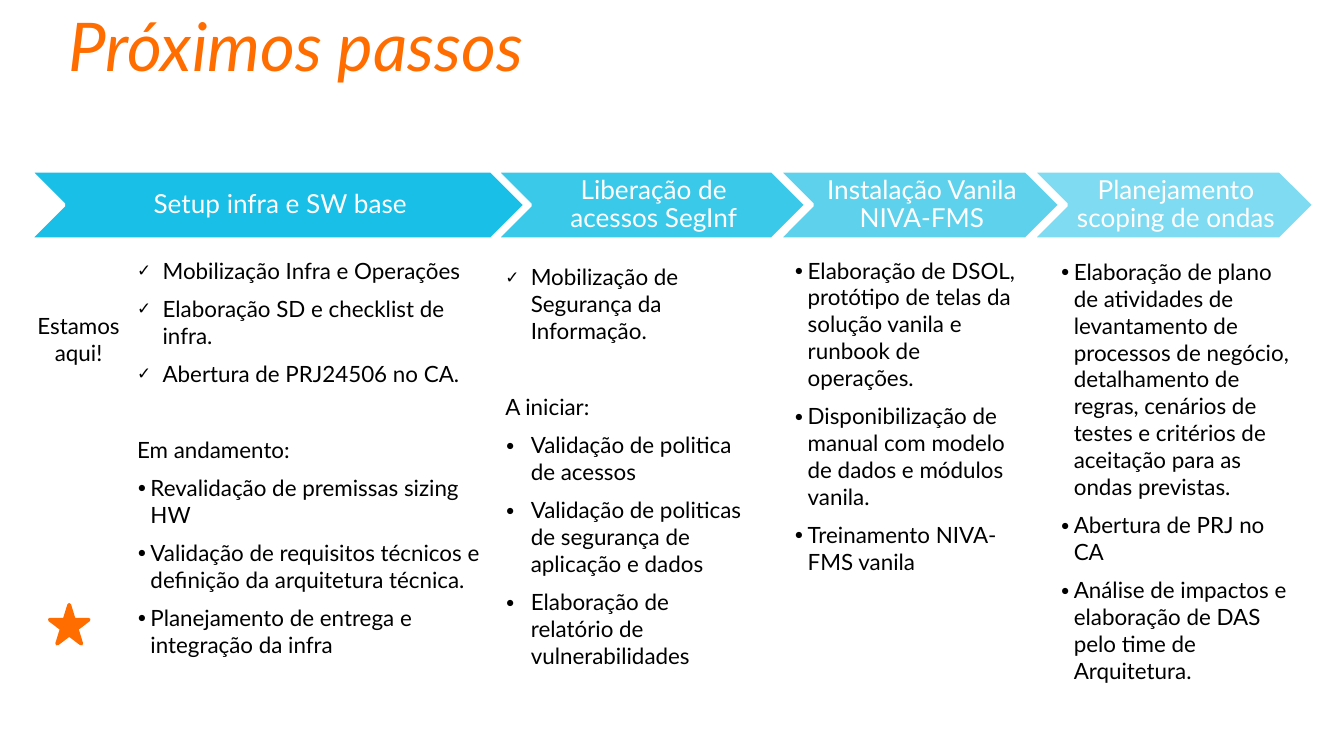
from dataclasses import dataclass

from lxml.etree import SubElement
from pptx import Presentation
from pptx.dml.color import RGBColor
from pptx.enum.shapes import MSO_SHAPE as Kind
from pptx.enum.text import MSO_ANCHOR as Anchor, PP_ALIGN as Align
from pptx.oxml.ns import qn
from pptx.util import Inches, Pt

ORANGE, CYAN, BLACK, WHITE = "FF6D00", "00B9E4", "000000", "FFFFFF"
TICK, DOT = "✓", "•"
FACE = "Lato"


@dataclass
class Item:
    text: str
    mark: str = ""
    dent: float = 0
    gap: float = 0


@dataclass
class Column:
    left: float
    top: float
    width: float
    height: float
    items: list[Item]


@dataclass
class Step:
    left: float
    width: float
    alpha: int
    label: str


def color(code: str) -> RGBColor:
    return RGBColor.from_string(code)


def add_text(slide, left: float, top: float, width: float, height: float, inset=(0, 0, 0, 0)):
    box = slide.shapes.add_textbox(Inches(left), Inches(top), Inches(width), Inches(height))
    frame = box.text_frame
    frame.word_wrap = True
    sides = [Inches(side) for side in inset]
    frame.margin_left, frame.margin_top, frame.margin_right, frame.margin_bottom = sides
    return frame


def style(para, text: str, size: float, code: str, align=Align.LEFT) -> None:
    para.add_run().text = text
    para.alignment = align
    font = para.font
    font.name, font.size, font.color.rgb = FACE, Pt(size), color(code)


def add_shape(slide, kind, left: float, top: float, width: float, height: float,
              fill: str, line: str):
    shape = slide.shapes.add_shape(kind, Inches(left), Inches(top), Inches(width), Inches(height))
    shape.shadow.inherit = False
    shape.fill.solid()
    shape.fill.fore_color.rgb = color(fill)
    shape.line.color.rgb = color(line)
    shape.line.width = Pt(2)
    return shape


def add_mark(para, mark: str, dent: float) -> None:
    props = para._p.get_or_add_pPr()
    props.set("marL", str(Inches(dent)))
    props.set("indent", str(-Inches(dent)))
    tint = SubElement(props, qn("a:buClr"))
    SubElement(tint, qn("a:srgbClr"), val=BLACK)
    SubElement(props, qn("a:buSzPct"), val="75000")
    SubElement(props, qn("a:buFont"), typeface=FACE)
    SubElement(props, qn("a:buChar"), char=mark)


def add_column(slide, col: Column) -> None:
    frame = add_text(slide, col.left, col.top, col.width, col.height)
    for i, item in enumerate(col.items):
        para = frame.add_paragraph() if i else frame.paragraphs[0]
        if item.mark:
            add_mark(para, item.mark, item.dent)
        para.space_after = Pt(6)
        if item.gap:
            para.space_before = Pt(item.gap)
        style(para, item.text, 12, BLACK)


def add_step(slide, step: Step) -> None:
    top, height = 1.27, 0.51
    shape = add_shape(slide, Kind.CHEVRON, step.left, top, step.width, height, CYAN, WHITE)
    tint = shape.fill._xPr.find(qn("a:solidFill"))[0]
    SubElement(tint, qn("a:alpha"), val=str(step.alpha * 1000))
    frame = add_text(slide, step.left + height / 2, top, step.width - height, height,
                     (0.06, 0.02, 0.02, 0.02))
    frame.vertical_anchor = Anchor.MIDDLE
    para = frame.paragraphs[0]
    para.line_spacing = 0.9
    style(para, step.label, 14, WHITE, Align.CENTER)


def ticks(*texts: str) -> list[Item]:
    return [Item(text, TICK, 0.19) for text in texts]


def dots(dent: float, *texts: str) -> list[Item]:
    return [Item(text, DOT, dent) for text in texts]


STEPS = [
    Step(0.22, 3.69, 90, "Setup infra e SW base"),
    Step(3.69, 2.31, 77, "Liberação de acessos SegInf"),
    Step(5.79, 2.1, 63, "Instalação Vanila NIVA-FMS"),
    Step(7.68, 2.1, 50, "Planejamento scoping de ondas"),
]

SETUP = Column(1.02, 1.91, 2.63, 3.71, [
    *ticks("Mobilização Infra e Operações",
           "Elaboração SD e checklist de infra.",
           "Abertura de PRJ24506 no CA."),
    Item("Em andamento:", gap=20.4),
    *dots(0.1, "Revalidação de premissas sizing HW",
          "Validação de requisitos técnicos e definição da arquitetura técnica.",
          "Planejamento de entrega e integração da infra"),
])
ACCESS = Column(3.76, 1.96, 1.87, 2.89, [
    *ticks("Mobilização de Segurança da Informação."),
    Item("A iniciar:", gap=20.4),
    *dots(0.19, "Validação de politica de acessos",
          "Validação de politicas de segurança de aplicação e dados",
          "Elaboração de relatório de vulnerabilidades"),
])
INSTALL = Column(5.91, 1.91, 1.74, 2.89, dots(
    0.1,
    "Elaboração de DSOL, protótipo de telas da solução vanila e runbook de operações.",
    "Disponibilização de manual com modelo de dados e módulos vanila.",
    "Treinamento NIVA-FMS vanila",
))
PLAN = Column(7.89, 1.92, 1.74, 2.89, dots(
    0.1,
    "Elaboração de plano de atividades de levantamento de processos de negócio, "
    "detalhamento de regras, cenários de testes e critérios de aceitação para as "
    "ondas previstas.",
    "Abertura de PRJ no CA",
    "Análise de impactos e elaboração de DAS pelo time de Arquitetura.",
))


def main() -> None:
    deck = Presentation()
    deck.slide_width, deck.slide_height = Inches(10), Inches(10 * 9 / 16)
    slide = deck.slides.add_slide(deck.slide_layouts[6])

    title = add_text(slide, 0.51, 0.3, 8.98, 0.78).paragraphs[0]
    title.line_spacing = Pt(24)
    style(title, "Próximos passos", 36, ORANGE)
    title.font.italic = True

    for col in (SETUP, ACCESS, INSTALL):
        add_column(slide, col)
    add_shape(slide, Kind.STAR_5_POINT, 0.37, 4.5, 0.29, 0.29, ORANGE, ORANGE)
    here = add_text(slide, 0.15, 2.28, 0.87, 0.48, (0.04,) * 4)
    style(here.paragraphs[0], "Estamos aqui!", 12, BLACK, Align.CENTER)
    for step in STEPS:
        add_step(slide, step)
    add_column(slide, PLAN)

    deck.save("out.pptx")


if __name__ == "__main__":
    main()
